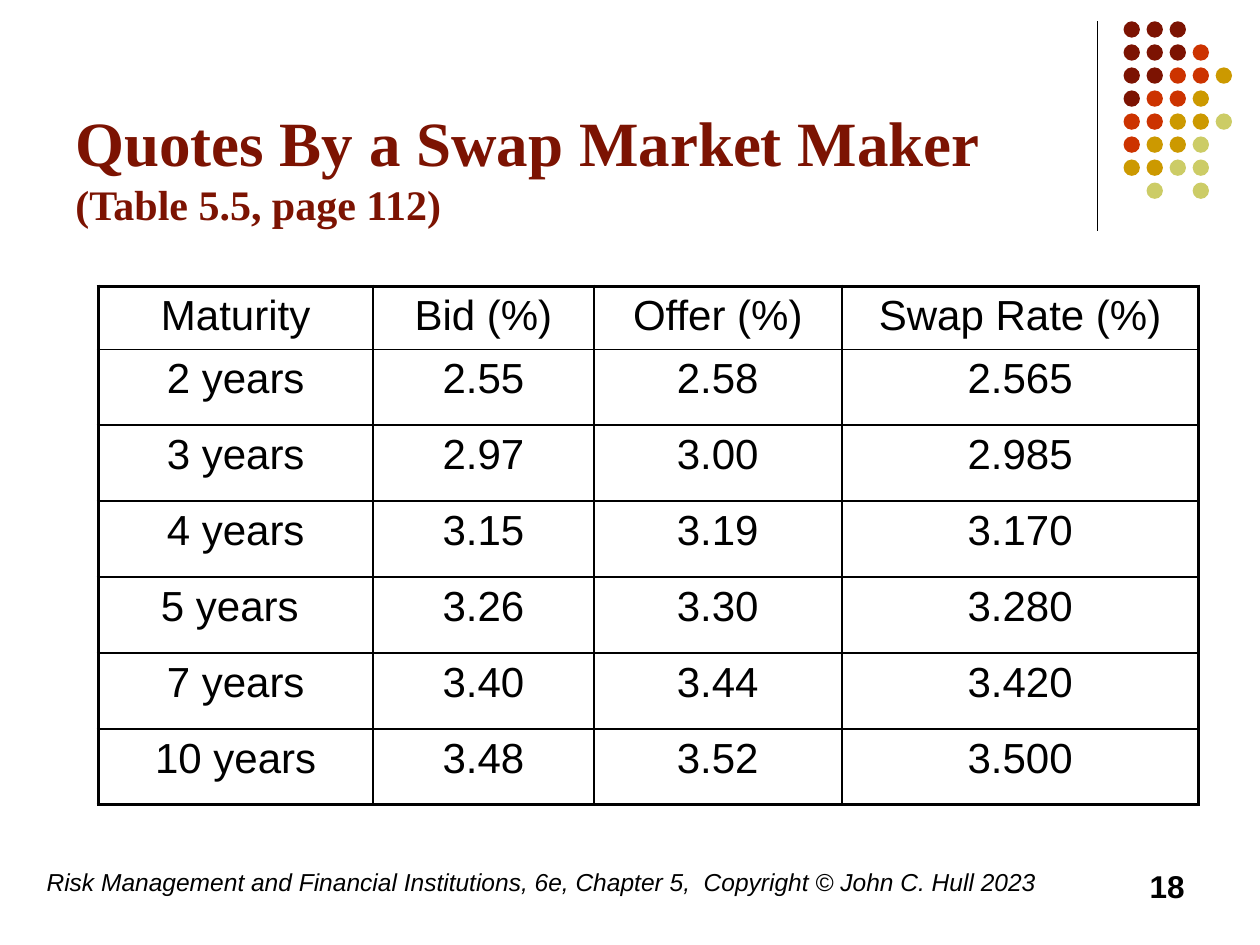
"""Build the slide of swap market maker quotes with its table, dot ornament and footer."""
from dataclasses import dataclass

from lxml.etree import SubElement
from pptx import Presentation
from pptx.dml.color import RGBColor
from pptx.enum.shapes import MSO_CONNECTOR as Connector, MSO_SHAPE as Shape
from pptx.enum.text import MSO_ANCHOR as Anchor, PP_ALIGN as Align
from pptx.oxml.ns import qn
from pptx.util import Cm, Pt


@dataclass(frozen=True)
class Theme:
    black: RGBColor = RGBColor.from_string("000000")
    maroon: RGBColor = RGBColor.from_string("7C1302")
    red: RGBColor = RGBColor.from_string("CC3300")
    gold: RGBColor = RGBColor.from_string("CC9900")
    olive: RGBColor = RGBColor.from_string("CCCC66")
    heading: str = "Times New Roman"
    body: str = "Arial"
    title_size: Pt = Pt(36)
    table_size: Pt = Pt(24)
    number_size: Pt = Pt(18)
    footer_size: Pt = Pt(14)
    outer_border: Pt = Pt(2.25)
    inner_border: Pt = Pt(1)
    rule: Pt = Pt(0.75)


theme = Theme()


def write_run(paragraph, text, color, **format_values):
    run = paragraph.add_run()
    run.text = text
    for name, value in format_values.items():
        setattr(run.font, name, value)
    run.font.color.rgb = color


def add_text_box(slide, left, top, width, height, anchor=Anchor.TOP):
    text_box = slide.shapes.add_textbox(Cm(left), Cm(top), Cm(width), Cm(height))
    text_box.text_frame.word_wrap = True
    text_box.text_frame.vertical_anchor = anchor
    return text_box.text_frame.paragraphs[0]


presentation = Presentation()
presentation.slide_width, presentation.slide_height = Cm(25.4), Cm(19.05)
slide = presentation.slides.add_slide(presentation.slide_layouts[6])

divider = slide.shapes.add_connector(Connector.STRAIGHT, Cm(22.12), Cm(0.43), Cm(22.12), Cm(4.65))
divider.line.color.rgb = theme.black
divider.line.width = theme.rule
SubElement(divider.line._get_or_add_ln().getparent(), qn("a:effectLst"))

dot_colors = {"M": theme.maroon, "R": theme.red, "G": theme.gold, "O": theme.olive}
dot_rows = ["MMM", "MMMR", "MMRRG", "MRRG", "RRGGO", "RGGO", "GGOO", " O O"]
dot_pitch = 3.25 / 7
dots = slide.shapes.add_group_shape()
for row, pattern in enumerate(dot_rows):
    for column, key in enumerate(pattern):
        if key in dot_colors:
            left, top = 22.65 + column * dot_pitch, 0.43 + row * dot_pitch
            dot = dots.shapes.add_shape(Shape.OVAL, Cm(left), Cm(top), Cm(0.33), Cm(0.33))
            dot.shadow.inherit = False
            dot.fill.solid()
            dot.fill.fore_color.rgb = dot_colors[key]
            dot.line.fill.background()

title = add_text_box(slide, 1.27, 0.99, 20.75, 3.76, Anchor.BOTTOM)
title_parts = [
    ("Quotes By a Swap Market Maker ", theme.title_size),
    ("(Table 5.5, page 112)", theme.table_size),
]
for text, size in title_parts:
    write_run(title, text, theme.maroon, name=theme.heading, size=size, bold=True)

quotes = [
    ("Maturity", "Bid (%)", "Offer (%)", "Swap Rate (%)"),
    ("2 years", "2.55", "2.58", "2.565"),
    ("3 years", "2.97", "3.00", "2.985"),
    ("4 years", "3.15", "3.19", "3.170"),
    ("5 years ", "3.26", "3.30", "3.280"),
    ("7 years", "3.40", "3.44", "3.420"),
    ("10 years", "3.48", "3.52", "3.500"),
]
column_widths = [5.54, 4.45, 5, 7.19]
row_heights = [1.27] + [1.53] * 6
last_row, last_column = len(quotes) - 1, len(column_widths) - 1
table = slide.shapes.add_table(
    len(quotes), len(column_widths), Cm(1.98), Cm(5.77), Cm(sum(column_widths)), Cm(sum(row_heights))
).table
table.first_row = table.horz_banding = False
for column, width in zip(table.columns, column_widths):
    column.width = Cm(width)
for row, height in zip(table.rows, row_heights):
    row.height = Cm(height)

for row, values in enumerate(quotes):
    for column, value in enumerate(values):
        cell = table.cell(row, column)
        outer_edges = {
            "a:lnL": column == 0,
            "a:lnR": column == last_column,
            "a:lnT": row == 0,
            "a:lnB": row == last_row,
        }
        properties = cell._tc.get_or_add_tcPr()
        for edge, is_outer in outer_edges.items():
            border_width = theme.outer_border if is_outer else theme.inner_border
            border = SubElement(properties, qn(edge), w=str(border_width))
            SubElement(SubElement(border, qn("a:solidFill")), qn("a:srgbClr"), val=str(theme.black))
        cell.fill.background()
        paragraph = cell.text_frame.paragraphs[0]
        paragraph.alignment = Align.CENTER
        write_run(paragraph, value, theme.black, name=theme.body, size=theme.table_size)

footer = add_text_box(slide, 0.69, 17.35, 21, 1.27)
footer_text = "Risk Management and Financial Institutions, 6e, Chapter 5,  Copyright © John C. Hull 2023"
write_run(footer, footer_text, theme.black, name=theme.body, size=theme.footer_size, italic=True)

page_number = add_text_box(slide, 18.21, 17.35, 5.92, 1.27)
page_number.alignment = Align.RIGHT
write_run(page_number, "18", theme.black, name=theme.body, size=theme.number_size, bold=True)

presentation.save("out.pptx")
